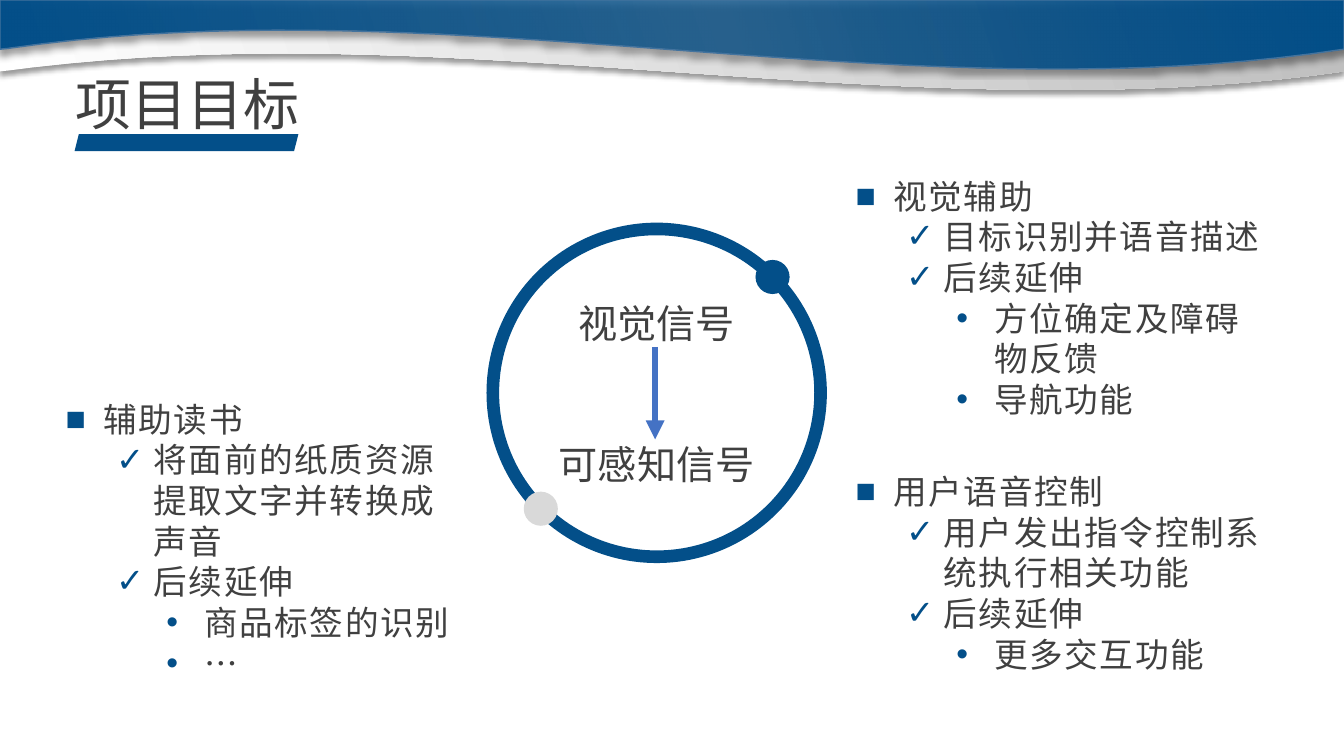
from lxml.etree import SubElement
from pptx import Presentation
from pptx.dml.color import RGBColor
from pptx.enum.shapes import MSO_CONNECTOR, MSO_SHAPE
from pptx.enum.text import MSO_ANCHOR, MSO_AUTO_SIZE, PP_ALIGN
from pptx.oxml.ns import qn
from pptx.util import Cm, Pt

BLUE, GRAY, INK = "034F89", "D9D9D9", "404040"
SANS = "Noto Sans CJK SC"
WIDE, HIGH = 33.87, 19.05
MARKS = "■✓•"
STEPS = 40

READING = [
    (0, "辅助读书"),
    (1, "将面前的纸质资源提取文字并转换成声音"),
    (1, "后续延伸"),
    (2, "商品标签的识别"),
    (2, "…"),
]
VISION = [
    (0, "视觉辅助"),
    (1, "目标识别并语音描述"),
    (1, "后续延伸"),
    (2, "方位确定及障碍物反馈"),
    (2, "导航功能"),
]
VOICE = [
    (0, "用户语音控制"),
    (1, "用户发出指令控制系统执行相关功能"),
    (1, "后续延伸"),
    (2, "更多交互功能"),
]


def rgb(code):
    return RGBColor.from_string(code)


def add(node, tag, **attrs):
    return SubElement(node, qn(tag), attrs)


def write(para, text, size=24, font=SANS, align=PP_ALIGN.LEFT, gap=0, track=0):
    """Fill a paragraph; gap is the space above, track the letter spacing."""
    para.alignment = align
    para.line_spacing = Pt(size * 1.21)
    para.space_before = Pt(gap)
    para.space_after = Pt(0)
    run = para.add_run()
    run.text = text
    run.font.size = Pt(size)
    run.font.bold = False
    run.font.name = font
    run.font.color.rgb = rgb(INK)
    props = run.font._element
    props.set("spc", str(track))
    add(props, "a:ea", typeface=SANS)


def mark(para, level):
    """Give a paragraph the bullet and indent of its level."""
    para.level = level
    props = para._p.get_or_add_pPr()
    props.set("marL", str(Cm(0.95 + 1.27 * level)))
    props.set("indent", str(Cm(-0.95)))
    add(add(props, "a:buClr"), "a:srgbClr", val=BLUE)
    add(props, "a:buFont", typeface="Arial")
    add(props, "a:buChar", char=MARKS[level])


def place(holder, left, top, width, height):
    """Move a placeholder and return its cleaned text frame."""
    holder.left, holder.top = Cm(left), Cm(top)
    holder.width, holder.height = Cm(width), Cm(height)
    frame = holder.text_frame
    frame.word_wrap = True
    frame.auto_size = MSO_AUTO_SIZE.NONE
    frame.vertical_anchor = MSO_ANCHOR.TOP
    return frame


def fill_list(holder, items, *box):
    frame = place(holder, *box)
    for i, (level, text) in enumerate(items):
        para = frame.add_paragraph() if i else frame.paragraphs[0]
        write(para, text, track=120)
        mark(para, level)


def add_shape(slide, kind, left, top, width, height, fill=None, line=None):
    shape = slide.shapes.add_shape(kind, Cm(left), Cm(top), Cm(width), Cm(height))
    shape.shadow.inherit = False
    if fill:
        shape.fill.solid()
        shape.fill.fore_color.rgb = rgb(fill)
    else:
        shape.fill.background()
    if line:
        shape.line.color.rgb = rgb(line)
        shape.line.width = Pt(9)
    else:
        shape.line.fill.background()
    return shape


def curve(points):
    """Sample a cubic curve given by four points."""
    for i in range(STEPS + 1):
        t = i / STEPS
        parts = (1 - t) ** 3, 3 * t * (1 - t) ** 2, 3 * t * t * (1 - t), t ** 3
        yield tuple(Cm(sum(w * p[k] for w, p in zip(parts, points))) for k in (0, 1))


def add_wave(slide, edge, crest, dip, stops, line=None):
    """Draw a band from the top edge; stops are (place, colour, opacity)."""
    ends = (WIDE, edge), (22.63, crest), (11.43, dip), (0.2, edge - 0.02)
    build = slide.shapes.build_freeform(0, 0)
    build.add_line_segments([(Cm(WIDE), 0), *curve(ends), (0, Cm(edge))], close=True)
    wave = build.convert_to_shape()
    wave.fill.gradient()
    wave.fill.gradient_angle = 18
    holder = wave._element.spPr.find(".//" + qn("a:gsLst"))
    for old in list(holder):
        holder.remove(old)
    for pos, code, alpha in stops:
        stop = add(holder, "a:gs", pos=str(pos * 1000))
        add(add(stop, "a:srgbClr", val=code), "a:alpha", val=str(alpha * 1000))
    if line:
        wave.line.color.rgb = rgb(line)
        wave.line.width = Pt(1)
    else:
        wave.line.fill.background()
    wave.shadow.inherit = False
    effects = wave._element.spPr.find(qn("a:effectLst"))
    shade = add(effects, "a:outerShdw", blurRad=str(Pt(4)), dist=str(Pt(3)),
                dir="5400000", algn="t", rotWithShape="0")
    add(add(shade, "a:srgbClr", val="000000"), "a:alpha", val="40000")


def add_ring(slide, left, top, size):
    ring = add_shape(slide, MSO_SHAPE.OVAL, left, top, size, size, line=BLUE)
    frame = ring.text_frame
    frame.word_wrap = True
    frame.vertical_anchor = MSO_ANCHOR.MIDDLE
    look = dict(size=28, font="Arial", align=PP_ALIGN.CENTER)
    write(frame.paragraphs[0], "视觉信号", **look)
    write(frame.add_paragraph(), "可感知信号", gap=67, **look)
    dot, mid, reach = 0.86, size / 2, size / 2 * 0.5 ** 0.5
    for side, color in ((1, BLUE), (-1, GRAY)):
        x = left + mid + side * reach - dot / 2
        y = top + mid - side * reach - dot / 2
        add_shape(slide, MSO_SHAPE.OVAL, x, y, dot, dot, fill=color)


def add_arrow(slide, x, top, end):
    arrow = slide.shapes.add_connector(
        MSO_CONNECTOR.STRAIGHT, Cm(x), Cm(top), Cm(x), Cm(end))
    arrow.line.color.rgb = rgb("4472C4")
    arrow.line.width = Pt(4.5)
    add(arrow.line._get_or_add_ln(), "a:tailEnd", type="triangle")
    add(arrow._element.spPr, "a:effectLst")


def main():
    deck = Presentation()
    deck.slide_width, deck.slide_height = Cm(WIDE), Cm(HIGH)
    slide = deck.slides.add_slide(deck.slide_layouts[4])
    title, left, lower, upper, spare = slide.placeholders
    spare._element.getparent().remove(spare._element)

    add_wave(slide, 1.8, 3.4, 0.25, [(0, "FFFFFF", 100), (100, "BFBFBF", 100)])
    add_wave(slide, 1.24, 2.95, -0.41,
             [(0, BLUE, 100), (54, BLUE, 75), (100, BLUE, 100)], line="43739E")

    frame = place(title, 1.65, 1.6, 6.17, 1.96)
    write(frame.paragraphs[0], "项目目标", size=40)
    add_shape(slide, MSO_SHAPE.PARALLELOGRAM, 1.88, 3.38, 5.64, 0.43, fill=BLUE)

    add_ring(slide, 12.42, 5.77, 8.26)
    add_arrow(slide, 16.51, 8.74, 11.07)
    fill_list(left, READING, 1.4, 9.91, 10.52, 7.4)
    fill_list(lower, VOICE, 21.31, 11.73, 10.92, 6.4)
    fill_list(upper, VISION, 21.31, 4.29, 10.92, 7.44)
    deck.save("out.pptx")


if __name__ == "__main__":
    main()
